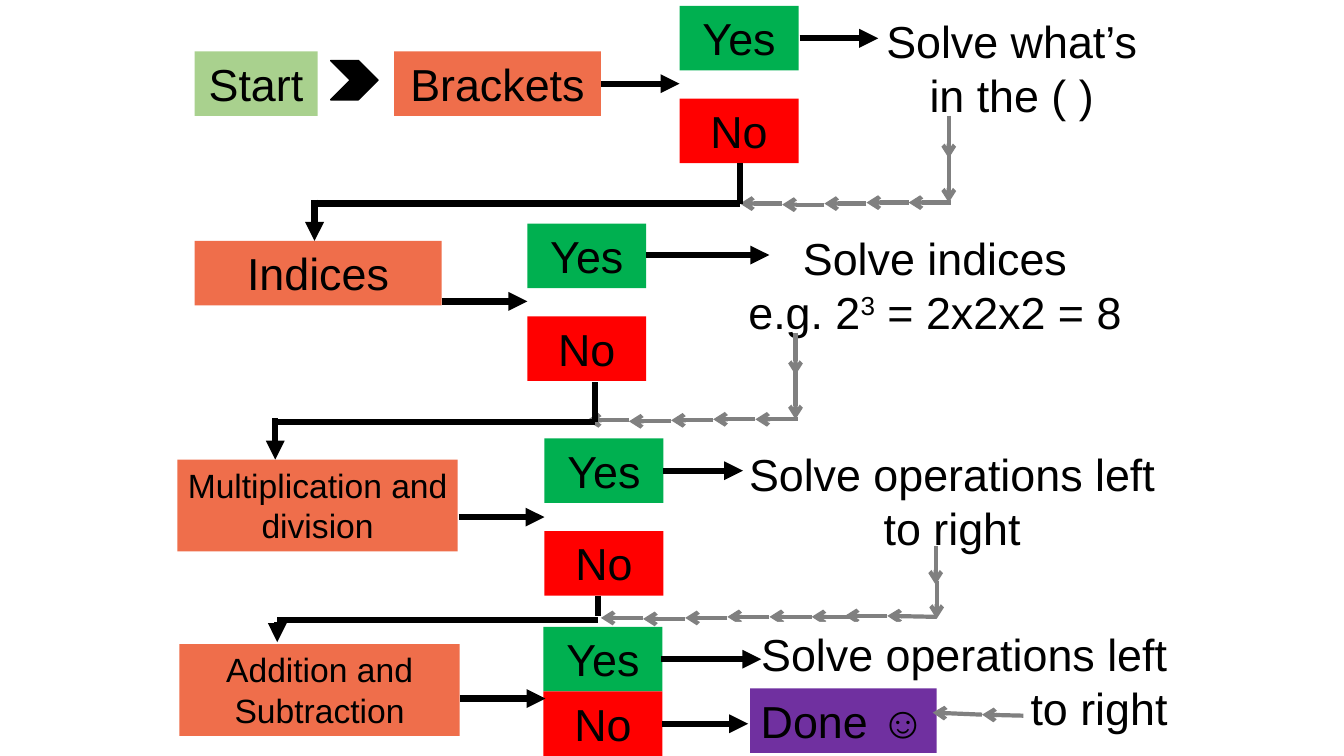
from dataclasses import dataclass
from typing import Optional

from lxml.etree import SubElement
from pptx import Presentation
from pptx.dml.color import RGBColor
from pptx.enum.shapes import MSO_CONNECTOR as Connector, MSO_SHAPE as Preset
from pptx.enum.text import MSO_AUTO_SIZE as AutoSize, PP_ALIGN as Align
from pptx.oxml.ns import qn
from pptx.slide import Slide
from pptx.util import Inches, Pt

COLORS = {
    "start": "A9D18E",
    "step": "EF6E4B",
    "yes": "00B050",
    "no": "FF0000",
    "done": "7030A0",
    "paper": "FFFFFF",
    "ink": "000000",
    "trail": "808080",
}
FONT = "Arial"
LINE_HEIGHT = 0.64
ANSWER_WIDTH = 1.18
TRAIL_STEP = 0.418
TRAIL_WOBBLE = (0, 0, 0.01, 0.02, 0.01)

Point = tuple[float, float]


@dataclass(frozen=True)
class Box:
    text: str
    left: float
    top: float
    width: float
    color: str
    height: float = LINE_HEIGHT
    size: int = 32
    align: Align = Align.CENTER


@dataclass(frozen=True)
class Line:
    start: Point
    end: Point
    head: Optional[str] = "triangle"
    color: str = "ink"
    width: float = 4.5


@dataclass(frozen=True)
class Elbow:
    top: Point
    bar_y: float
    stem_end: float
    drop_start: float
    bottom: Point


@dataclass(frozen=True)
class Stage:
    step: Box
    answers: Point
    no_gap: float
    action: Box
    arrows: tuple[Line, ...]
    trail: tuple[Line, ...] = ()
    row_start: Optional[Point] = None
    elbow: Optional[Elbow] = None


def trail_line(start: Point, end: Point) -> Line:
    return Line(start, end, "arrow", "trail", 3)


def add_box(slide: Slide, box: Box) -> None:
    shape = slide.shapes.add_textbox(
        Inches(box.left), Inches(box.top), Inches(box.width), Inches(box.height)
    )
    shape.fill.solid()
    shape.fill.fore_color.rgb = RGBColor.from_string(COLORS[box.color])
    frame = shape.text_frame
    frame.word_wrap = True
    frame.auto_size = AutoSize.SHAPE_TO_FIT_TEXT
    frame.text = box.text
    for paragraph in frame.paragraphs:
        paragraph.alignment = box.align
        base, *others = paragraph.text.split("^")
        if others:
            paragraph.text = base
        for index, part in enumerate(others):
            run = paragraph.add_run()
            run.text = part
            if index % 2 == 0:
                run._r.get_or_add_rPr().set("baseline", "30000")
        for run in paragraph.runs:
            run.font.name = FONT
            run.font.size = Pt(box.size)
            run.font.color.rgb = RGBColor.from_string(COLORS["ink"])


def add_line(slide: Slide, line: Line) -> None:
    connector = slide.shapes.add_connector(
        Connector.STRAIGHT, *(Inches(value) for value in line.start + line.end)
    )
    connector.line.color.rgb = RGBColor.from_string(COLORS[line.color])
    connector.line.width = Pt(line.width)
    properties = connector._element.spPr
    if line.head:
        SubElement(properties.find(qn("a:ln")), qn("a:tailEnd"), type=line.head)
    SubElement(properties, qn("a:effectLst"))


def add_chevron(slide: Slide) -> None:
    chevron = slide.shapes.add_shape(
        Preset.CHEVRON, Inches(3.28), Inches(0.6), Inches(0.47), Inches(0.39)
    )
    chevron.shadow.inherit = False
    chevron.fill.solid()
    chevron.fill.fore_color.rgb = RGBColor.from_string(COLORS["ink"])
    chevron.line.color.rgb = RGBColor.from_string(COLORS["ink"])
    chevron.line.width = Pt(1)


def add_trail_row(slide: Slide, start: Point) -> None:
    x, y = start
    for index, wobble in enumerate(TRAIL_WOBBLE):
        right = x - index * TRAIL_STEP
        add_line(slide, trail_line((right, y + wobble), (right - TRAIL_STEP, y + wobble)))


def add_elbow(slide: Slide, elbow: Elbow) -> None:
    top_x, bottom_x = elbow.top[0], elbow.bottom[0]
    add_line(slide, Line((bottom_x, elbow.bar_y), (top_x, elbow.bar_y), None))
    add_line(slide, Line(elbow.top, (top_x, elbow.stem_end), None))
    add_line(slide, Line((bottom_x, elbow.drop_start), elbow.bottom))


def add_stage(slide: Slide, stage: Stage) -> None:
    left, top = stage.answers
    yes = Box("Yes", left, top, ANSWER_WIDTH, "yes")
    no = Box("No", left, top + stage.no_gap, ANSWER_WIDTH, "no")
    for box in (stage.step, yes, no, stage.action):
        add_box(slide, box)
    for line in stage.arrows + stage.trail:
        add_line(slide, line)
    if stage.row_start:
        add_trail_row(slide, stage.row_start)
    if stage.elbow:
        add_elbow(slide, stage.elbow)


STAGES = (
    Stage(
        Box("Brackets", 3.91, 0.51, 2.05, "step"), (6.74, 0.06), 0.92,
        Box("Solve what’s in the ( )", 8.56, 0.09, 2.95, "paper", 1.18),
        (Line((5.96, 0.83), (6.74, 0.83)), Line((7.93, 0.38), (8.71, 0.38))),
        (trail_line((9.41, 1.15), (9.41, 1.57)), trail_line((9.41, 1.52), (9.41, 2.01))),
        (9.43, 2.01), Elbow((7.34, 1.62), 2.02, 2.02, 1.98, (3.12, 2.39)),
    ),
    Stage(
        Box("Indices", 1.93, 2.39, 2.45, "step"), (5.23, 2.22), 0.92,
        Box("Solve indices\ne.g. 2^3^ = 2x2x2 = 8", 7.04, 2.24, 4.47, "paper", 1.18),
        (Line((4.38, 2.99), (5.23, 2.99)), Line((6.41, 2.53), (7.63, 2.53))),
        (trail_line((7.89, 3.3), (7.89, 3.72)), trail_line((7.89, 3.67), (7.89, 4.16))),
        (7.91, 4.16), Elbow((5.9, 3.79), 4.19, 4.19, 4.15, (2.73, 4.56)),
    ),
    Stage(
        Box("Multiplication and division", 1.76, 4.56, 2.78, "step", 0.91, 24),
        (5.4, 4.35), 0.92,
        Box("Solve operations left to right", 7.21, 4.38, 4.47, "paper", 1.18),
        (Line((4.55, 5.13), (5.4, 5.13)), Line((6.58, 4.67), (7.37, 4.67))),
        (
            trail_line((9.29, 5.76), (9.29, 6.14)), trail_line((9.28, 5.42), (9.28, 5.8)),
            trail_line((8.47, 6.12), (8.05, 6.12)), trail_line((8.8, 6.11), (8.38, 6.11)),
            trail_line((9.29, 6.12), (8.8, 6.11)),
        ),
        (8.05, 6.12), Elbow((5.93, 5.91), 6.15, 6.11, 6.17, (2.75, 6.37)),
    ),
    Stage(
        Box("Addition and Subtraction", 1.78, 6.39, 2.78, "step", 0.91, 24),
        (5.39, 6.22), LINE_HEIGHT,
        Box("Solve operations left to right", 7.21, 6.17, 4.47, "paper", 1.18, align=Align.RIGHT),
        (
            Line((4.56, 6.93), (5.41, 6.93)), Line((6.56, 6.54), (7.55, 6.54)),
            Line((6.57, 7.18), (7.42, 7.18)),
        ),
    ),
)


def main() -> None:
    presentation = Presentation()
    presentation.slide_width, presentation.slide_height = Inches(13.33), Inches(7.5)
    slide = presentation.slides.add_slide(presentation.slide_layouts[6])
    add_box(slide, Box("Start", 1.93, 0.51, 1.22, "start"))
    add_chevron(slide)
    for stage in STAGES:
        add_stage(slide, stage)
    add_box(slide, Box("Done ☺", 7.44, 6.83, 1.85, "done"))
    add_line(slide, trail_line((10.15, 7.1), (9.74, 7.09)))
    add_line(slide, trail_line((9.74, 7.09), (9.25, 7.07)))
    presentation.save("out.pptx")


if __name__ == "__main__":
    main()
